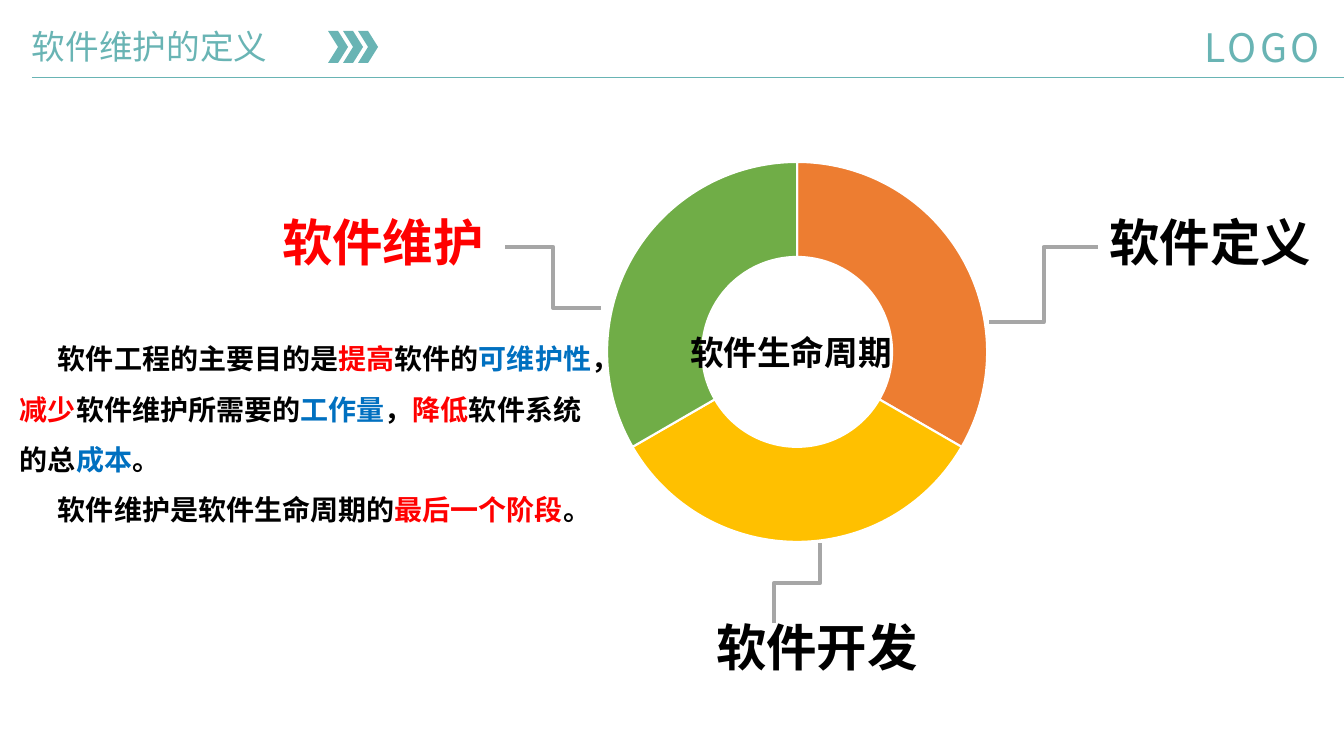
"""Build the slide that defines software maintenance within the software life cycle."""
from lxml import etree
from pptx import Presentation
from pptx import util as u
from pptx.chart.data import CategoryChartData
from pptx.dml.color import RGBColor
from pptx.enum import chart, shapes, text
from pptx.oxml.ns import qn

PX = 9071
FONT = "Noto Sans CJK SC"
COLORS = {
    "teal": "69B4B4", "black": "000000", "red": "FF0000", "blue": "0070C0", "gray": "A6A6A6",
    "orange": "ED7D31", "yellow": "FFC000", "green": "70AD47", "white": "FFFFFF",
}

TITLE = ("软件维护的定义", (32, 26, 283, 40), 24, "teal")
LOGO = ("LOGO", (1196, 19, 143, 55), 28, "teal")
LABELS = [
    ("软件生命周期", (680, 327, 234, 50), 24, "black"),
    ("软件定义", (1099, 206, 234, 72), 36, "black"),
    ("软件开发", (706, 611, 236, 72), 36, "black"),
    ("软件维护", (272, 206, 257, 72), 36, "red"),
]
BODY_BOX = (10, 320, 601, 259)
BODY_INDENT = 38
BODY = [
    [("软件工程的主要目的是", "black"), ("提高", "red"), ("软件的", "black"), ("可维护性", "blue"),
     ("，", "black"), ("减少", "red"), ("软件维护所需要的", "black"), ("工作量", "blue"),
     ("，", "black"), ("降低", "red"), ("软件系统的总", "black"), ("成本", "blue"), ("。", "black")],
    [("软件维护是软件生命周期的", "black"), ("最后一个阶段", "red"), ("。", "black")],
]
PHASES = [("1", 33, "orange"), ("2", 33, "yellow"), ("3", 33, "green")]
CHART_BOX = (436, 148, 722, 409)
RING_BOX = (607, 162, 380, 380)
CHEVRON_BOX, CHEVRON_STEP, CHEVRON_COUNT = (328, 31, 20, 32), 15, 3
RULE = (32, 77, 1344, 77)
LEADERS = [
    ((505, 247, 601, 308), 0),
    ((989, 322, 1098, 247), 0),
    ((837, 606, 757, 560), 90),
]


def px(values):
    return [u.Emu(v * PX) for v in values]


def rgb(name):
    return RGBColor.from_string(COLORS[name])


def set_font(font, size, bold=False):
    font.name, font.size, font.bold = FONT, u.Pt(size), bold
    etree.SubElement(font._element, qn("a:ea"), typeface=FONT)


def add_text(s, box, paragraphs, size, bold=False, margins=(10, 5), wrap=True):
    sp = s.shapes.add_textbox(*px(box))
    tf = sp.text_frame
    tf.word_wrap = wrap
    tf.margin_left = tf.margin_right = u.Emu(margins[0] * PX)
    tf.margin_top = tf.margin_bottom = u.Emu(margins[1] * PX)
    tf.vertical_anchor = text.MSO_ANCHOR.TOP
    for i, runs in enumerate(paragraphs):
        p = tf.add_paragraph() if i else tf.paragraphs[0]
        set_font(p.font, size, bold)
        for words, color in runs:
            r = p.add_run()
            r.text = words
            set_font(r.font, size, bold)
            r.font.color.rgb = rgb(color)
    return tf


def add_line(s, kind, ends, color, width, angle=0):
    c = s.shapes.add_connector(kind, *px(ends))
    c.line.color.rgb = rgb(color)
    c.line.width = u.Pt(width)
    spPr = c._element.spPr
    etree.SubElement(spPr, qn("a:effectLst"))
    if angle:
        spPr.find(qn("a:xfrm")).set("rot", str(angle * 60000))


def add_ring(s):
    data = CategoryChartData()
    data.categories = [name for name, _, _ in PHASES]
    data.add_series("Series 1", [value for _, value, _ in PHASES])
    ch = s.shapes.add_chart(chart.XL_CHART_TYPE.DOUGHNUT, *px(CHART_BOX), data).chart
    ch.has_legend = ch.has_title = False
    ch.font.name, ch.font.size, ch.font.color.rgb = FONT, u.Pt(10), rgb("black")
    plot = ch.plots[0]
    plot.vary_by_categories = True
    for i, (_, _, color) in enumerate(PHASES):
        fmt = plot.series[0].points[i].format
        fmt.fill.solid()
        fmt.fill.fore_color.rgb = rgb(color)
        fmt.line.color.rgb = rgb("white")
        fmt.line.width = u.Pt(1.5)
    area = ch._chartSpace.chart.plotArea
    area.find(".//" + qn("c:holeSize")).set("val", "75")
    for old in area.findall(qn("c:layout")):
        area.remove(old)
    layout = etree.Element(qn("c:layout"))
    area.insert(0, layout)
    manual = etree.SubElement(layout, qn("c:manualLayout"))
    left, top, width, height = CHART_BOX
    x, y, w, h = RING_BOX
    settings = [("layoutTarget", "inner"), ("xMode", "edge"), ("yMode", "edge"),
                ("x", (x - left) / width), ("y", (y - top) / height),
                ("w", w / width), ("h", h / height)]
    for tag, value in settings:
        etree.SubElement(manual, qn("c:" + tag), val=str(value))


def main():
    prs = Presentation()
    prs.slide_width, prs.slide_height = u.Inches(13.33), u.Inches(7.5)
    s = prs.slides.add_slide(prs.slide_layouts[6])

    add_line(s, shapes.MSO_CONNECTOR.STRAIGHT, RULE, "gray", 0.5)
    s.shapes[0].line.color.rgb = rgb("teal")
    words, box, size, color = TITLE
    add_text(s, box, [[(words, color)]], size, margins=(0, 0))
    x, y, w, h = CHEVRON_BOX
    for i in range(CHEVRON_COUNT):
        sp = s.shapes.add_shape(shapes.MSO_SHAPE.CHEVRON, *px((x + i * CHEVRON_STEP, y, w, h)))
        sp.shadow.inherit = False
        sp.fill.solid()
        sp.fill.fore_color.rgb = rgb("teal")
        sp.line.fill.background()
    words, box, size, color = LOGO
    tf = add_text(s, box, [[(words, color)]], size, margins=(8, 4), wrap=False)
    tf.paragraphs[0].runs[0].font._element.set("spc", "250")

    add_ring(s)
    for words, box, size, color in LABELS:
        add_text(s, box, [[(words, color)]], size, bold=True)
    for ends, angle in LEADERS:
        add_line(s, shapes.MSO_CONNECTOR.ELBOW, ends, "gray", 3, angle)
    tf = add_text(s, BODY_BOX, BODY, 20, bold=True)
    for p in tf.paragraphs:
        p.line_spacing = 1.5
        p._p.get_or_add_pPr().set("indent", str(BODY_INDENT * PX))

    prs.save("out.pptx")


if __name__ == "__main__":
    main()
